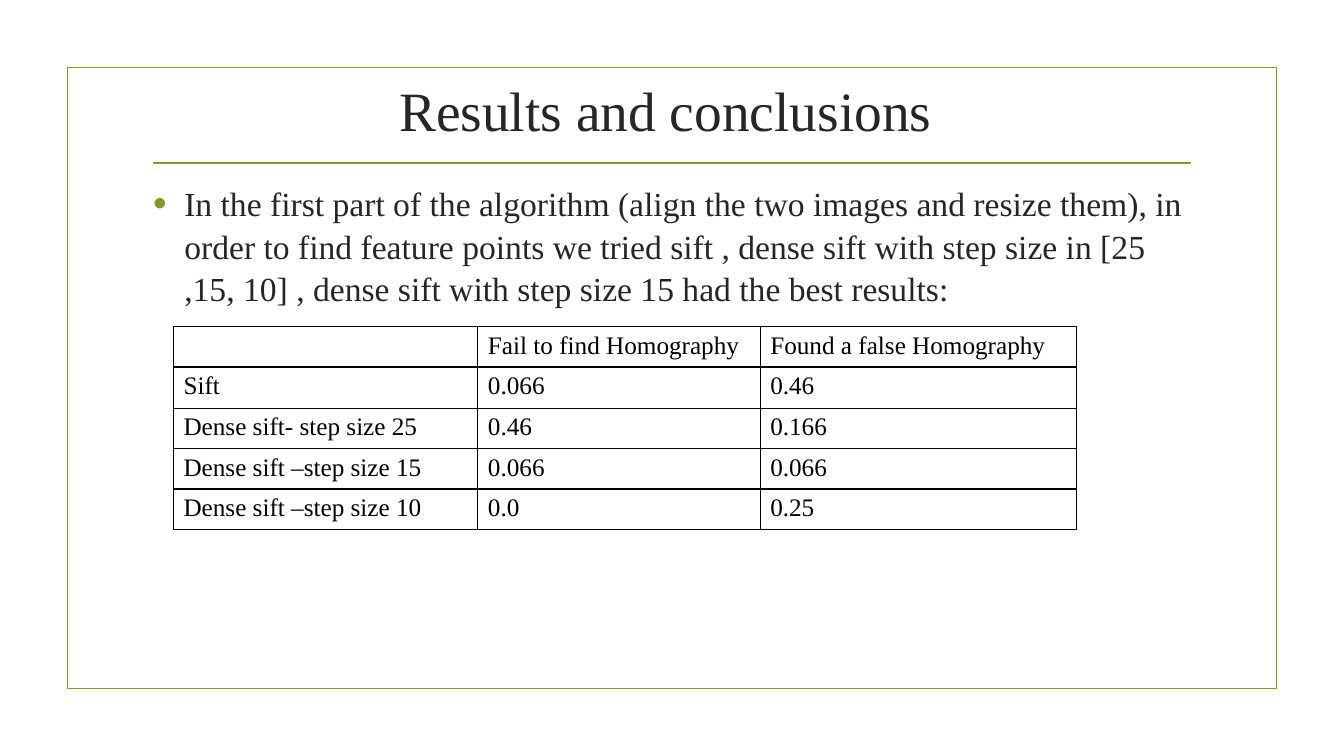
from lxml import etree
from pptx import Presentation, util as u
from pptx.dml.color import RGBColor
from pptx.enum import shapes, text
from pptx.oxml import ns

GREEN = RGBColor(0x83, 0x99, 0x2A)
DARK = RGBColor(0x26, 0x26, 0x26)
BLACK = RGBColor(0, 0, 0)
FONT = "Times New Roman"
WIDTH, HEIGHT = 13.33, 7.5
MARGIN = 0.67
CONTENT_LEFT, CONTENT_WIDTH = 1.42, 10.5
RULE_INSET, RULE_TOP = 1.52, 1.62
HANGING = u.Inches(0.31)

INTRO = ("In the first part of the algorithm (align the two images and resize them), "
         "in order to find feature points we tried sift , dense sift with step size in "
         "[25 ,15, 10] , dense sift with step size 15 had the best results:")
RESULTS = [
    ["", "Fail to find Homography", "Found a false Homography"],
    ["Sift", "0.066", "0.46"],
    ["Dense sift- step size 25", "0.46", "0.166"],
    ["Dense sift –step size 15", "0.066", "0.066"],
    ["Dense sift –step size 10", "0.0", "0.25"],
]
COLUMN_WIDTHS = [3.02, 2.8, 3.14]
ROW_HEIGHTS = [0.38, 0.41, 0.38, 0.38, 0.38]


def inches(*lengths):
    return [u.Inches(length) for length in lengths]


def child(parent, tag, **attributes):
    element = etree.SubElement(parent, ns.qn(tag))
    for name, value in attributes.items():
        element.set(name, str(value))
    return element


def write(frame, words, size, color, align=None, bullet=None, spacing=None):
    """Fill the first paragraph of a text frame."""
    para = frame.paragraphs[0]
    para.alignment = align
    para.line_spacing = spacing
    if bullet:
        props = para._p.get_or_add_pPr()
        props.set("marL", str(HANGING))
        props.set("indent", str(-HANGING))
        child(child(props, "a:buClr"), "a:srgbClr", val=GREEN)
        child(props, "a:buSzPct", val=115000)
        child(props, "a:buFont", typeface="Arial")
        child(props, "a:buChar", char=bullet)
    para.font.size = u.Pt(size)
    if words:
        span = para.add_run()
        span.text = words
        span.font.name, span.font.size = FONT, u.Pt(size)
        span.font.color.rgb = color


def add_text(page, place, words, anchor=text.MSO_ANCHOR.TOP, **style):
    frame = page.shapes.add_textbox(*inches(*place)).text_frame
    frame.word_wrap = True
    frame.vertical_anchor = anchor
    write(frame, words, **style)


def add_frame(page):
    place = inches(MARGIN, MARGIN, WIDTH - 2 * MARGIN, HEIGHT - 2 * MARGIN)
    box = page.shapes.add_shape(shapes.MSO_SHAPE.RECTANGLE, *place)
    box.shadow.inherit = False
    box.fill.background()
    box.line.color.rgb, box.line.width = GREEN, u.Pt(1.25)


def add_rule(page):
    ends = inches(RULE_INSET, RULE_TOP, WIDTH - RULE_INSET, RULE_TOP)
    rule = page.shapes.add_connector(shapes.MSO_CONNECTOR.STRAIGHT, *ends)
    rule.line.color.rgb, rule.line.width = GREEN, u.Pt(1.25)
    child(rule._element.spPr, "a:effectLst")


def add_borders(cell):
    props = cell._tc.get_or_add_tcPr()
    for side in ("a:lnL", "a:lnR", "a:lnT", "a:lnB"):
        line = child(props, side, w=u.Pt(1))
        child(child(line, "a:solidFill"), "a:srgbClr", val=BLACK)


def add_results(page, left, top):
    place = inches(left, top, sum(COLUMN_WIDTHS), sum(ROW_HEIGHTS))
    table = page.shapes.add_table(len(RESULTS), len(COLUMN_WIDTHS), *place).table
    table.first_row = table.horz_banding = False
    for column, width in zip(table.columns, COLUMN_WIDTHS):
        column.width = u.Inches(width)
    for row, height, values in zip(table.rows, ROW_HEIGHTS, RESULTS):
        row.height = u.Inches(height)
        for cell, value in zip(row.cells, values):
            write(cell.text_frame, value, size=18, color=BLACK)
            add_borders(cell)
            cell.fill.background()


def main():
    deck = Presentation()
    deck.slide_width, deck.slide_height = inches(WIDTH, HEIGHT)
    page = deck.slides.add_slide(deck.slide_layouts[6])
    add_frame(page)
    add_rule(page)
    add_text(page, (CONTENT_LEFT, MARGIN, CONTENT_WIDTH, 0.83),
             "Results and conclusions ", anchor=text.MSO_ANCHOR.MIDDLE,
             size=39.6, color=DARK, align=text.PP_ALIGN.CENTER)
    add_text(page, (CONTENT_LEFT, 1.75, CONTENT_WIDTH, 4.68), INTRO,
             size=24, color=DARK, bullet="•", spacing=1.05)
    add_results(page, 1.72, 3.24)
    deck.save("out.pptx")


if __name__ == "__main__":
    main()
